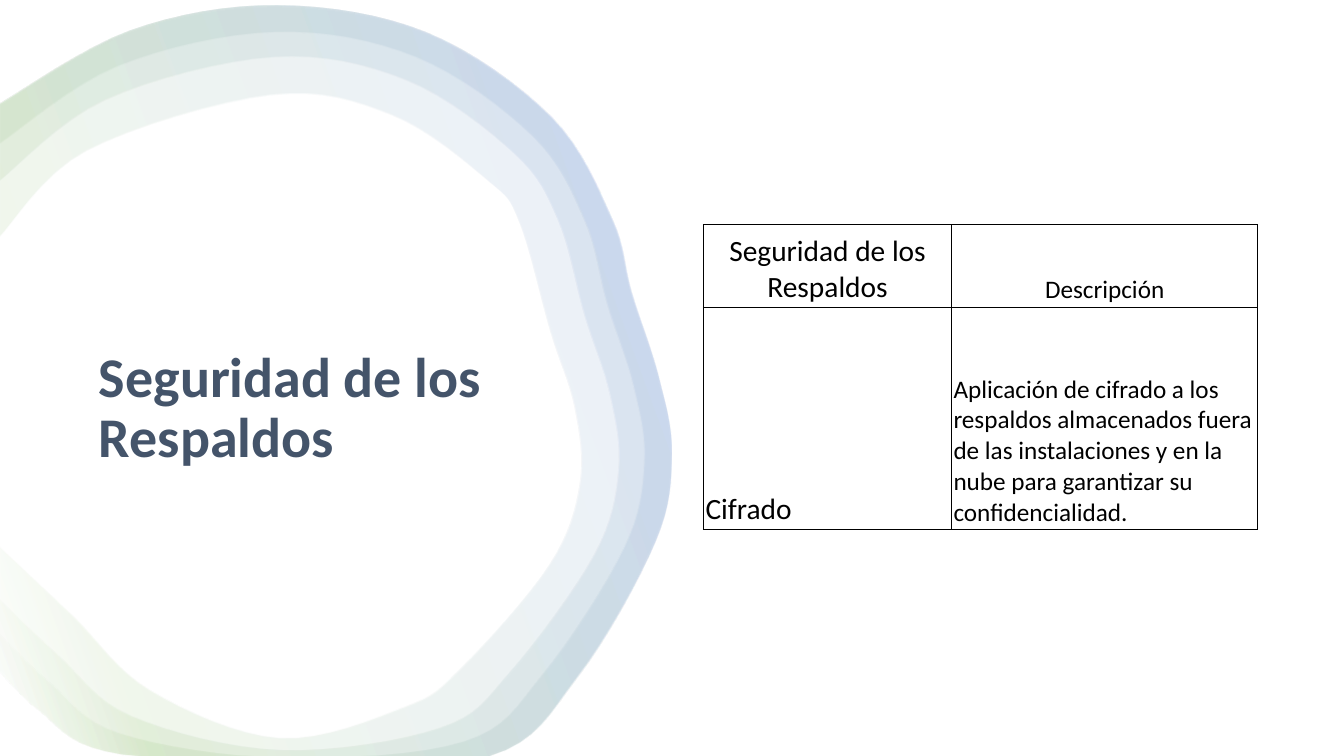
from dataclasses import dataclass

from lxml.etree import SubElement
from pptx import Presentation
from pptx.dml.color import RGBColor
from pptx.enum.text import MSO_ANCHOR, MSO_AUTO_SIZE, PP_ALIGN
from pptx.oxml import parse_xml
from pptx.oxml.ns import nsdecls, qn
from pptx.util import Cm, Pt

TITLE = "Seguridad de los Respaldos"
TABLE_ROWS = [
    ("Seguridad de los Respaldos", "Descripción"),
    ("Cifrado", "Aplicación de cifrado a los respaldos almacenados fuera de las "
                "instalaciones y en la nube para garantizar su confidencialidad."),
]
COLUMN_WIDTHS = (6.25, 7.72)
ROW_HEIGHTS = (2.08, 5.61)
SLIDE_WIDTH, SLIDE_HEIGHT = 33.87, 19.05

# Edges of the widest ring in inches, clockwise from the upper left.
INCH = 2.54
OUTER_EDGE = [
    (0, 1.04), (1.3, .31), (2.75, .06), (4.23, .33), (5.47, 1.17), (6.07, 2.18),
    (6.26, 2.9), (6.53, 3.74), (6.66, 4.5), (6.5, 5.37), (5.73, 6.71), (4.85, 7.5),
    (2.8, 7.6), (1.05, 7.45), (.4, 7.05), (0, 6.66),
]
INNER_EDGE = [
    (0, 2.36), (.87, 1.5), (2.69, .95), (3.89, 1.15), (4.84, 1.8), (5.15, 2.21),
    (5.46, 3.3), (5.7, 4.05), (5.75, 4.8), (5.45, 5.6), (4.57, 6.63), (4.02, 7.01),
    (2.78, 7.32), (1.5, 6.85), (.73, 6.11), (0, 5.42),
]
# How far each ring's inner edge has moved towards the outer edge.
RING_SHARES = (0.42, 0, 0.7)


@dataclass(frozen=True)
class Theme:
    font: str = "Calibri"
    title_color: str = "44546A"
    text_color: str = "000000"
    title_size: int = 40
    column_sizes: tuple = (21, 18)
    ring_stops: tuple = ((2, "FFFFFF"), (16, "70AD47"), (85, "4472C4"), (100, "FFFFFF"))
    ring_opacity: int = 10
    ring_angle: int = 340


THEME = Theme()


def smooth(points, steps=8):
    """Return points along a Catmull-Rom curve through the given points."""
    padded = [points[0], *points, points[-1]]
    curve = [points[0]]
    for a, b, c, d in zip(padded, padded[1:], padded[2:], padded[3:]):
        for step in range(1, steps + 1):
            t = step / steps
            curve.append(tuple(
                b[i] + t * (c[i] - a[i]) / 2
                + t**2 * (a[i] - 2.5 * b[i] + 2 * c[i] - d[i] / 2)
                + t**3 * (1.5 * (b[i] - c[i]) + (d[i] - a[i]) / 2)
                for i in (0, 1)))
    return curve


def format_text(text_frame, size, color, bold=False):
    for paragraph in text_frame.paragraphs:
        for run in paragraph.runs:
            run.font.name = THEME.font
            run.font.size = Pt(size)
            run.font.bold = bold
            run.font.color.rgb = RGBColor.from_string(color)


def fill_with_gradient(shape):
    stops = "".join(
        f'<a:gs pos="{position * 1000}"><a:srgbClr val="{color}">'
        f'<a:alpha val="{THEME.ring_opacity * 1000}"/></a:srgbClr></a:gs>'
        for position, color in THEME.ring_stops)
    gradient = parse_xml(
        f'<a:gradFill {nsdecls("a")} rotWithShape="1"><a:gsLst>{stops}</a:gsLst>'
        f'<a:lin ang="{THEME.ring_angle * 60000}" scaled="0"/></a:gradFill>')
    shape.element.spPr.find(qn("a:custGeom")).addnext(gradient)


def add_ring(slide, share):
    """Draw a ring that is cut off at the left and bottom of the slide."""
    inner_edge = [
        tuple(inner + share * (outer - inner) for inner, outer in zip(*pair))
        for pair in zip(INNER_EDGE, OUTER_EDGE)]
    outline = smooth(OUTER_EDGE) + smooth(inner_edge)[::-1]
    start, *others = [
        (Cm(max(x * INCH, 0)), Cm(min(y * INCH, SLIDE_HEIGHT))) for x, y in outline]
    builder = slide.shapes.build_freeform(*start)
    builder.add_line_segments(others, close=True)
    shape = builder.convert_to_shape()
    shape.shadow.inherit = False
    shape.line.fill.background()
    fill_with_gradient(shape)


def add_borders(cell):
    properties = cell._tc.get_or_add_tcPr()
    for index, side in enumerate(("lnL", "lnR", "lnT", "lnB")):
        line = SubElement(properties, qn(f"a:{side}"), w=str(Pt(1)))
        fill = SubElement(line, qn("a:solidFill"))
        SubElement(fill, qn("a:srgbClr"), val=THEME.text_color)
        properties.insert(index, line)


def add_security_table(slide):
    table = slide.shapes.add_table(
        len(ROW_HEIGHTS), len(COLUMN_WIDTHS), Cm(17.73), Cm(5.66),
        Cm(sum(COLUMN_WIDTHS)), Cm(sum(ROW_HEIGHTS))).table
    table.first_row = table.horz_banding = False
    for column, width in zip(table.columns, COLUMN_WIDTHS):
        column.width = Cm(width)
    for row_index, (texts, height) in enumerate(zip(TABLE_ROWS, ROW_HEIGHTS)):
        table.rows[row_index].height = Cm(height)
        for column_index, text in enumerate(texts):
            cell = table.cell(row_index, column_index)
            cell.text_frame.text = text
            cell.vertical_anchor = MSO_ANCHOR.BOTTOM
            cell.margin_left = cell.margin_right = Cm(0.05)
            cell.margin_top = cell.margin_bottom = Cm(0.05)
            cell.fill.background()
            add_borders(cell)
            format_text(cell.text_frame, THEME.column_sizes[column_index], THEME.text_color)
            is_header = row_index == 0
            cell.text_frame.paragraphs[0].alignment = (
                PP_ALIGN.CENTER if is_header else PP_ALIGN.LEFT)


def place_title(slide):
    title = slide.shapes.title
    title.left, title.top, title.width, title.height = Cm(2.24), Cm(8.66), Cm(10.16), Cm(4.95)
    text_frame = title.text_frame
    text_frame.text = TITLE
    text_frame.word_wrap = True
    text_frame.auto_size = MSO_AUTO_SIZE.NONE
    text_frame.vertical_anchor = MSO_ANCHOR.TOP
    text_frame.paragraphs[0].alignment = PP_ALIGN.LEFT
    text_frame.paragraphs[0].line_spacing = 0.9
    format_text(text_frame, THEME.title_size, THEME.title_color, bold=True)


def main():
    presentation = Presentation()
    presentation.slide_width, presentation.slide_height = Cm(SLIDE_WIDTH), Cm(SLIDE_HEIGHT)
    slide = presentation.slides.add_slide(presentation.slide_layouts[5])
    for share in RING_SHARES:
        add_ring(slide, share)
    place_title(slide)
    add_security_table(slide)
    presentation.save("out.pptx")


if __name__ == "__main__":
    main()
